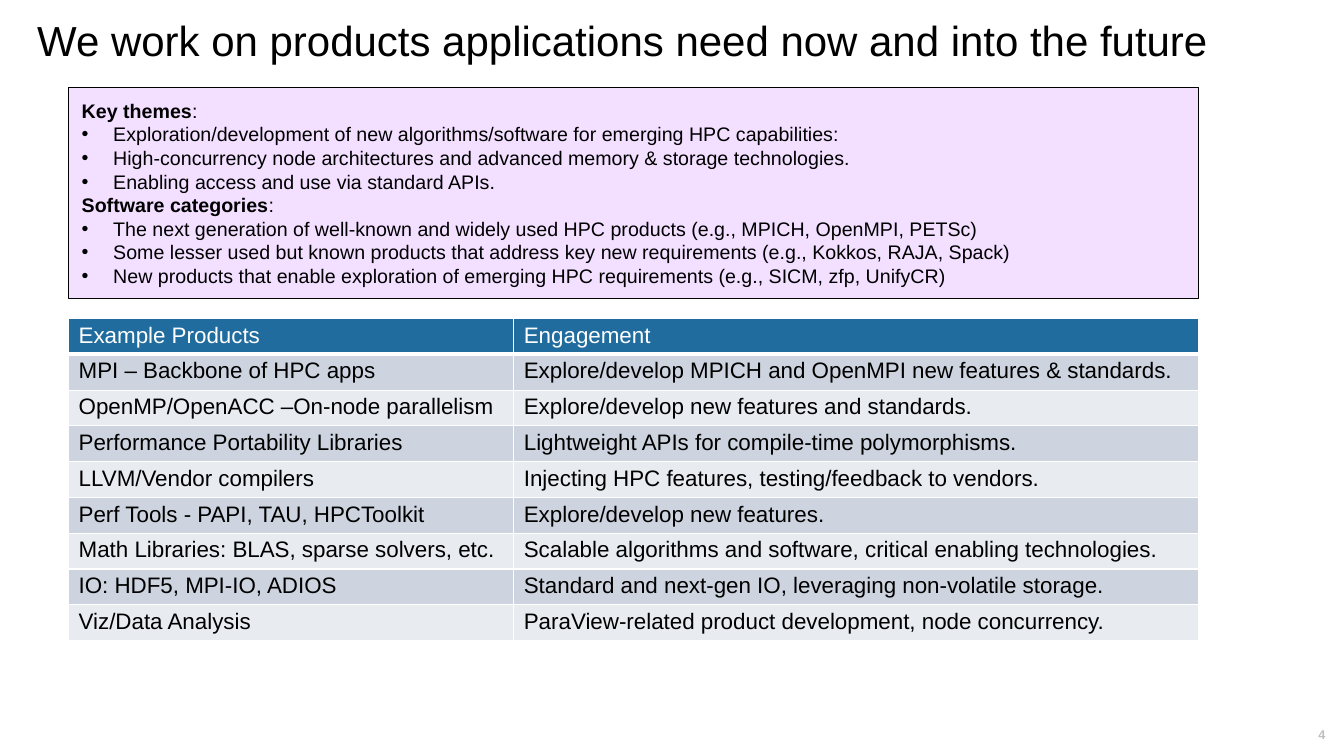
from pptx import Presentation
from pptx.dml.color import RGBColor as RGB
from pptx.enum.shapes import MSO_SHAPE as SHAPE
from pptx.enum.text import MSO_ANCHOR as ANCHOR, PP_ALIGN as ALIGN
from pptx.oxml import parse_xml
from pptx.oxml.ns import nsdecls
from pptx.util import Pt

BLACK = RGB(0x00, 0x00, 0x00)
WHITE = RGB(0xFF, 0xFF, 0xFF)
GRAY = RGB(0xBF, 0xBF, 0xBF)
LILAC = RGB(0xF3, 0xDF, 0xFF)
BLUE = RGB(0x20, 0x6C, 0x9E)
BANDS = [RGB(0xCD, 0xD4, 0xDF), RGB(0xE8, 0xEB, 0xF0)]

THEMES = [
    ("Key themes", [
        "Exploration/development of new algorithms/software for emerging HPC capabilities:",
        "High-concurrency node architectures and advanced memory & storage technologies.",
        "Enabling access and use via standard APIs.",
    ]),
    ("Software categories", [
        "The next generation of well-known and widely used HPC products (e.g., MPICH, OpenMPI, PETSc)",
        "Some lesser used but known products that address key new requirements (e.g., Kokkos, RAJA, Spack)",
        "New products that enable exploration of emerging HPC requirements (e.g., SICM, zfp, UnifyCR)",
    ]),
]
ROWS = [
    ("Example Products", "Engagement"),
    ("MPI – Backbone of HPC apps", "Explore/develop MPICH and OpenMPI new features & standards."),
    ("OpenMP/OpenACC –On-node parallelism", "Explore/develop new features and standards."),
    ("Performance Portability Libraries", "Lightweight APIs for compile-time polymorphisms."),
    ("LLVM/Vendor compilers", "Injecting HPC features, testing/feedback to vendors."),
    ("Perf Tools - PAPI, TAU, HPCToolkit", "Explore/develop new features."),
    ("Math Libraries: BLAS, sparse solvers, etc.",
     "Scalable algorithms and software, critical enabling technologies."),
    ("IO: HDF5, MPI-IO, ADIOS", "Standard and next-gen IO, leveraging non-volatile storage."),
    ("Viz/Data Analysis", "ParaView-related product development, node concurrency."),
]


def write(para, text, size=14, color=BLACK, bold=False, align=ALIGN.LEFT, space=None, bullet=False):
    """Add a run to the paragraph and format both."""
    para.alignment = align
    if space:
        para.line_spacing = space
    if bullet:
        props = para._p.get_or_add_pPr()
        props.set("marL", str(Pt(22.5)))
        props.set("indent", str(Pt(-22.5)))
        props.append(parse_xml(f'<a:buFont {nsdecls("a")} typeface="Arial"/>'))
        props.append(parse_xml(f'<a:buChar {nsdecls("a")} char="•"/>'))
    run = para.add_run()
    run.text = text
    font = run.font
    font.name, font.size, font.bold = "Arial", Pt(size), bold
    font.color.rgb = color


def inset(frame, side, top):
    frame.margin_left = frame.margin_right = Pt(side)
    frame.margin_top = frame.margin_bottom = Pt(top)


def label(slide, box, text, pad=(0, 0), anchor=ANCHOR.TOP, **style):
    frame = slide.shapes.add_textbox(*map(Pt, box)).text_frame
    frame.word_wrap = True
    frame.vertical_anchor = anchor
    inset(frame, *pad)
    write(frame.paragraphs[0], text, space=0.9, **style)


def panel(slide, box):
    shape = slide.shapes.add_shape(SHAPE.RECTANGLE, *map(Pt, box))
    shape.shadow.inherit = False
    shape.fill.solid()
    shape.fill.fore_color.rgb = LILAC
    shape.line.color.rgb = BLACK
    shape.line.width = Pt(0.75)
    frame = shape.text_frame
    frame.word_wrap = True
    frame.vertical_anchor = ANCHOR.MIDDLE
    inset(frame, 9.36, 7.2)
    for i, (head, items) in enumerate(THEMES):
        para = frame.add_paragraph() if i else frame.paragraphs[0]
        write(para, head, bold=True)
        write(para, ":")
        for item in items:
            write(frame.add_paragraph(), item, bullet=True)


def edge(cell, side, width):
    cell._tc.get_or_add_tcPr().append(parse_xml(
        f'<a:{side} {nsdecls("a")} w="{Pt(width)}"><a:solidFill>'
        f'<a:srgbClr val="{WHITE}"/></a:solidFill></a:{side}>'))


def grid(slide, box, split):
    left, top, width, height = box
    table = slide.shapes.add_table(len(ROWS), 2, *map(Pt, box)).table
    table.columns[0].width = Pt(split)
    table.columns[1].width = Pt(width - split)
    for r, row in enumerate(ROWS):
        table.rows[r].height = Pt(height / len(ROWS))
        for c, text in enumerate(row):
            cell = table.cell(r, c)
            inset(cell, 7.2, 3.2)
            # Borders come before the fill in the cell properties
            for side in ("lnL", "lnR", "lnT", "lnB"):
                thick = (r, side) in ((0, "lnB"), (1, "lnT"))
                edge(cell, side, 3 if thick else 1)
            cell.fill.solid()
            cell.fill.fore_color.rgb = BANDS[(r - 1) % 2] if r else BLUE
            write(cell.text_frame.paragraphs[0], text, size=16, color=BLACK if r else WHITE)


def main():
    deck = Presentation()
    deck.slide_width, deck.slide_height = Pt(960), Pt(540)
    slide = deck.slides.add_slide(deck.slide_layouts[6])
    # Page number and title
    label(slide, (933, 519, 22.5, 12.5), "4", anchor=ANCHOR.MIDDLE,
          size=9, color=GRAY, bold=True, align=ALIGN.CENTER)
    label(slide, (19.5, 10.8, 896, 72), "We work on products applications need now and into the future",
          pad=(7.2, 3.6), size=30)
    # Products table and themes panel
    grid(slide, (49, 227.5, 807, 225), 318)
    panel(slide, (49, 62.6, 807, 150.5))
    deck.save("out.pptx")


if __name__ == "__main__":
    main()
